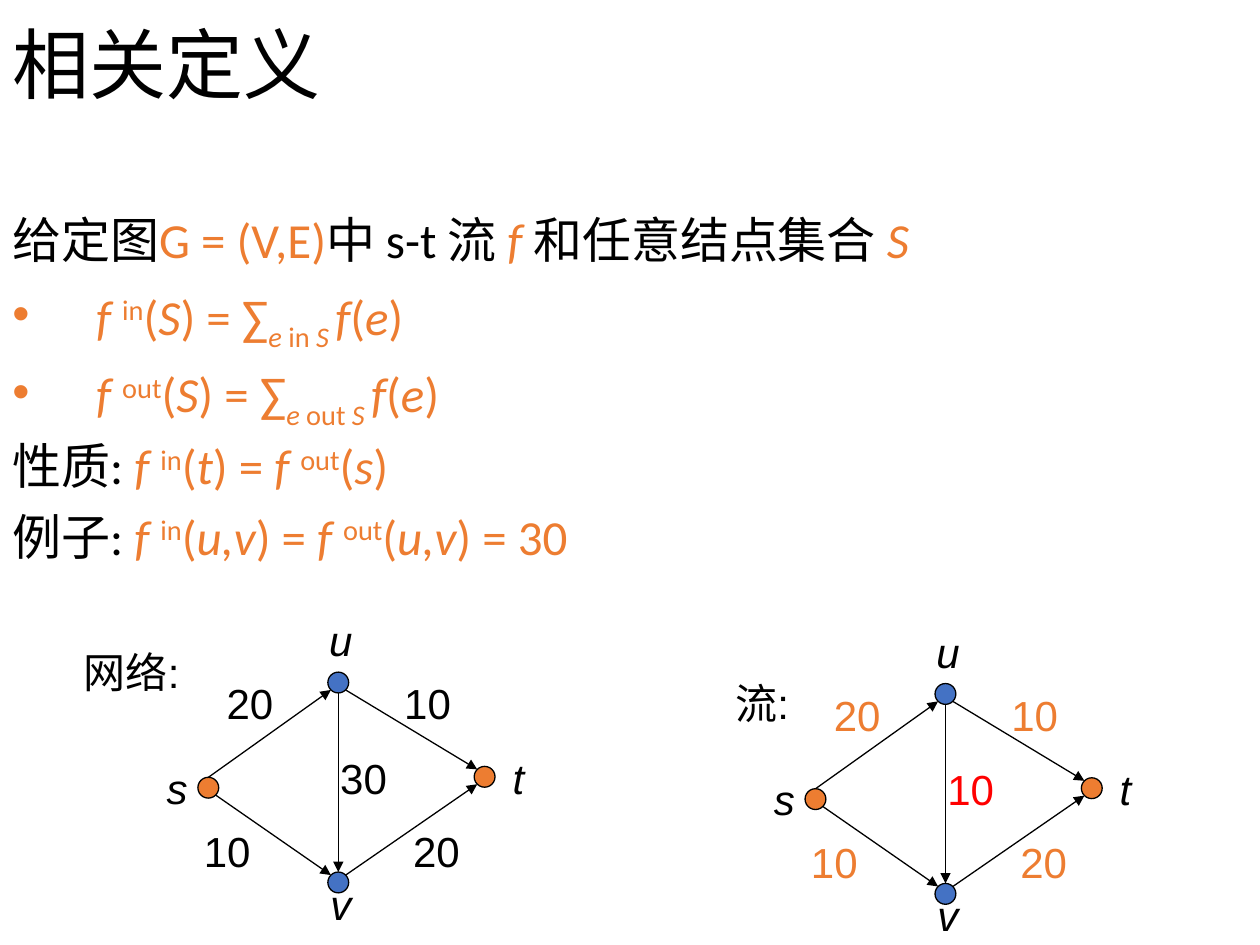
"""Build a slide defining flow into and out of a node set, with two example graphs."""
from lxml import etree
from pptx import Presentation
from pptx.dml.color import RGBColor
from pptx.enum.shapes import MSO_CONNECTOR, MSO_SHAPE
from pptx.enum.text import MSO_ANCHOR, PP_ALIGN
from pptx.oxml.ns import qn
from pptx.util import Cm, Pt

OVAL, STRAIGHT = MSO_SHAPE.OVAL, MSO_CONNECTOR.STRAIGHT
TOP, MIDDLE = MSO_ANCHOR.TOP, MSO_ANCHOR.MIDDLE
LEFT, CENTER = PP_ALIGN.LEFT, PP_ALIGN.CENTER
COLORS = {"black": "000000", "orange": "ED7D31", "blue": "4472C4", "red": "FF0000"}

# style: colour, italic, baseline
STYLES = {
    "text": ("black", False, 0),
    "math": ("orange", False, 0),
    "var": ("orange", True, 0),
    "sup": ("orange", False, 30000),
    "sub": ("orange", False, -25000),
    "subvar": ("orange", True, -25000),
}


def flow(way, arg):
    return [("f ", "var"), (way, "sup"), ("(", "math"), (arg, "var")]


def definition(way):
    return flow(way, "S") + [
        (") = ∑", "math"), ("e", "subvar"), (f" {way} ", "sub"), ("S ", "subvar"),
        ("f", "var"), ("(", "math"), ("e", "var"), (")", "math")]


def equality(lead, arg_in, arg_out, end):
    return ([(lead, "text")] + flow("in", arg_in) + [(") = ", "math")]
            + flow("out", arg_out) + [(end, "math")])


TITLE = [("相关定义", "text")]
BODY = [
    (False, [("给定图", "text"), ("G = (V,E)", "math"), ("中 s-t 流 ", "text"),
             ("f ", "var"), ("和任意结点集合 ", "text"), ("S", "var")]),
    (True, definition("in")),
    (True, definition("out")),
    (False, equality("性质: ", "t", "s", ")")),
    (False, equality("例子: ", "u,v", "u,v", ") = 30")),
]

RADIUS = 0.21
DIAGONAL = 0.71
NODES = {
    "s": ((4.2, 15.88), "orange", (3.57, 15.88)),
    "u": ((6.82, 13.76), "blue", (6.87, 12.9)),
    "t": ((9.77, 15.66), "orange", (10.45, 15.67)),
    "v": ((6.82, 17.79), "blue", (6.87, 18.21)),
}
NE, NW = (DIAGONAL, -DIAGONAL), (-DIAGONAL, -DIAGONAL)
SE, SW = (DIAGONAL, DIAGONAL), (-DIAGONAL, DIAGONAL)
N, S = (0, -1), (0, 1)
EDGES = [
    ("s", N, "u", SW, (5.04, 14.17)),
    ("u", SE, "t", NW, (8.62, 14.17)),
    ("s", SE, "v", NW, (4.58, 17.15)),
    ("v", NE, "t", SW, (8.8, 17.15)),
    ("u", S, "v", N, (7.33, 15.67)),
]
GRAPHS = [
    {"name": "网络:", "at": (2.54, 13.54), "width": 2.3, "offset": (0, 0),
     "values": ["20", "10", "10", "20", "30"], "colors": ["black"] * 5},
    {"name": "流:", "at": (15.25, 14.17), "width": 1.5, "offset": (12.24, 0.23),
     "values": ["20", "10", "10", "20", "10"], "colors": ["orange"] * 4 + ["red"]},
]


def rgb(name):
    return RGBColor.from_string(COLORS[name])


def add_run(p, text, size=24, font="Arial", color="black", italic=False, baseline=0):
    r = p.add_run()
    r.text = text
    r.font.size, r.font.name, r.font.italic = Pt(size), font, italic
    r.font.color.rgb = rgb(color)
    if baseline:
        r._r.get_or_add_rPr().set("baseline", str(baseline))


def add_box(s, x, y, w, h, anchor=MIDDLE, wrap=True):
    tf = s.shapes.add_textbox(Cm(x), Cm(y), Cm(w), Cm(h)).text_frame
    tf.word_wrap, tf.vertical_anchor = wrap, anchor
    return tf


def add_rich(p, runs, size):
    p.line_spacing, p.alignment = 0.9, LEFT
    for text, style in runs:
        color, italic, baseline = STYLES[style]
        add_run(p, text, size=size, font="Calibri", color=color,
                italic=italic, baseline=baseline)


def add_body(s):
    tf = add_box(s, 0, 4.24, 23.93, 9.96, anchor=TOP)
    for i, (bullet, runs) in enumerate(BODY):
        p = tf.add_paragraph() if i else tf.paragraphs[0]
        pPr = p._p.get_or_add_pPr()
        pPr.set("marL", str(Cm(1.69)))
        pPr.set("indent", str(-Cm(1.69)))
        if bullet:
            etree.SubElement(pPr, qn("a:buFont")).set("typeface", "Arial")
            etree.SubElement(pPr, qn("a:buChar")).set("char", "•")
        p.space_before = Pt(10 if i else 0)
        add_rich(p, runs, 28)


def add_label(s, text, center, width=1.45, wrap=False, **fmt):
    x, y = center
    p = add_box(s, x - width / 2, y - 0.635, width, 1.27, wrap=wrap).paragraphs[0]
    p.alignment = CENTER
    add_run(p, text, **fmt)


def add_node(s, center, color):
    x, y = center
    sp = s.shapes.add_shape(OVAL, Cm(x - RADIUS), Cm(y - RADIUS),
                            Cm(2 * RADIUS), Cm(2 * RADIUS))
    sp.shadow.inherit = False
    sp.fill.solid()
    sp.fill.fore_color.rgb = rgb(color)
    sp.line.color.rgb = rgb("black")
    sp.line.width = Pt(0.75)


def add_arrow(s, start, end):
    c = s.shapes.add_connector(STRAIGHT, *[Cm(n) for n in start + end])
    c.line.color.rgb = rgb("black")
    c.line.width = Pt(0.75)
    etree.SubElement(c.line._get_or_add_ln(), qn("a:tailEnd")).set("type", "triangle")
    etree.SubElement(c._element.spPr, qn("a:effectLst"))


def add_graph(s, graph):
    def shift(point):
        return tuple(a + b for a, b in zip(point, graph["offset"]))

    def rim(node, direction):
        return shift(a + RADIUS * d for a, d in zip(NODES[node][0], direction))

    for name, (center, color, label_at) in NODES.items():
        add_node(s, shift(center), color)
        add_label(s, name, shift(label_at), italic=True)
    for edge, value, color in zip(EDGES, graph["values"], graph["colors"]):
        start, start_side, end, end_side, label_at = edge
        add_arrow(s, rim(start, start_side), rim(end, end_side))
        add_label(s, value, shift(label_at), color=color)
    add_label(s, graph["name"], graph["at"], width=graph["width"], wrap=True)


def main():
    prs = Presentation()
    prs.slide_width, prs.slide_height = Cm(25.4), Cm(19.05)
    s = prs.slides.add_slide(prs.slide_layouts[6])
    add_rich(add_box(s, 0, -0.2, 23.3, 3.18).paragraphs[0], TITLE, 44)
    add_body(s)
    for graph in GRAPHS:
        add_graph(s, graph)
    prs.save("out.pptx")


if __name__ == "__main__":
    main()
